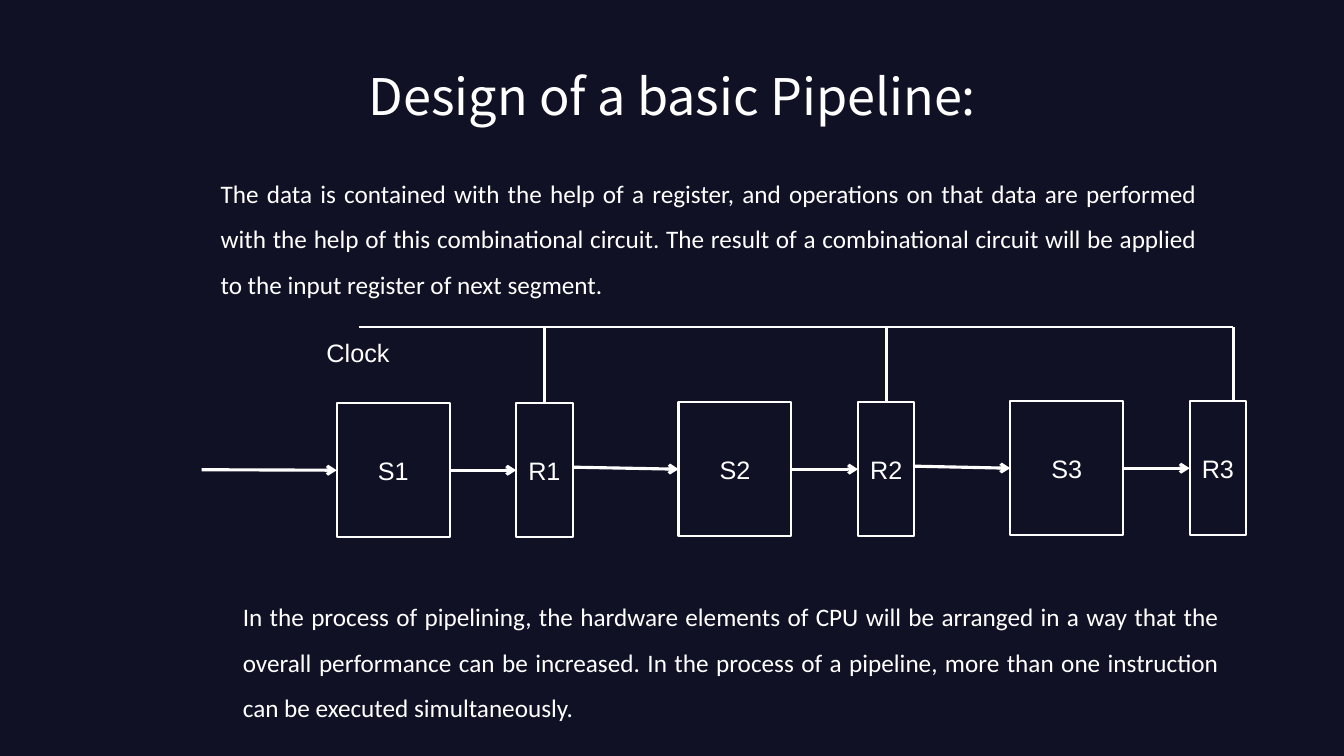
from lxml.etree import SubElement
from pptx import Presentation
from pptx.dml.color import RGBColor
from pptx.enum.shapes import MSO_CONNECTOR, MSO_SHAPE
from pptx.enum.text import MSO_ANCHOR, MSO_AUTO_SIZE, PP_ALIGN as Align
from pptx.oxml.ns import qn
from pptx.util import Inches, Pt

TOP, LEFT, BOTTOM, RIGHT = range(4)


def color(hex_string):
    return RGBColor.from_string(hex_string)


def write(frame, text, font="Arial", size=18, ink="FFFFFF", align=Align.LEFT,
          spacing=None, indent=0):
    paragraph = frame.paragraphs[0]
    paragraph.alignment = align
    if spacing:
        paragraph.line_spacing = spacing
    if indent:
        properties = paragraph._p.get_or_add_pPr()
        properties.set("marL", str(Inches(indent)))
        properties.set("indent", "0")
    run = paragraph.add_run()
    run.text = text
    run.font.name = font
    run.font.size = Pt(size)
    run.font.color.rgb = color(ink)


class PipelineSlide:
    ink = "FFFFFF"
    background = "101125"

    def __init__(self, deck):
        self.slide = deck.slides.add_slide(deck.slide_layouts[6])
        fill = self.slide.background.fill
        fill.solid()
        fill.fore_color.rgb = color(self.background)

    def text(self, text, left, top, width, height, wrap=True, **style):
        box = self.slide.shapes.add_textbox(
            Inches(left), Inches(top), Inches(width), Inches(height))
        box.text_frame.word_wrap = wrap
        box.text_frame.auto_size = MSO_AUTO_SIZE.SHAPE_TO_FIT_TEXT
        write(box.text_frame, text, ink=self.ink, **style)

    def block(self, label, left, top, width, height):
        block = self.slide.shapes.add_shape(
            MSO_SHAPE.RECTANGLE,
            Inches(left), Inches(top), Inches(width), Inches(height))
        block.shadow.inherit = False
        block.fill.background()
        block.line.color.rgb = color(self.ink)
        block.line.width = Pt(1.5)
        block.text_frame.word_wrap = True
        block.text_frame.vertical_anchor = MSO_ANCHOR.MIDDLE
        write(block.text_frame, label, ink=self.ink, align=Align.CENTER)
        return block

    def line(self, start, end, weight=2.25, arrow=False, source=None, target=None):
        """source and target are (block, side) pairs to join."""
        line = self.slide.shapes.add_connector(
            MSO_CONNECTOR.STRAIGHT, *map(Inches, start + end))
        line.line.color.rgb = color(self.ink)
        line.line.width = Pt(weight)
        if arrow:
            SubElement(line.line._get_or_add_ln(), qn("a:tailEnd"), type="arrow")
        SubElement(line._element.spPr, qn("a:effectLst"))
        if source:
            line.begin_connect(*source)
        if target:
            line.end_connect(*target)


def main():
    deck = Presentation()
    deck.slide_width, deck.slide_height = Inches(13.33), Inches(7.5)
    page = PipelineSlide(deck)

    # Title and introduction
    body = dict(font="Calibri", align=Align.JUSTIFY, spacing=1.5, indent=0.31)
    page.text("Design of a basic Pipeline:", 2.41, 0.6, 8.52, 0.71,
              font="Noto Sans CJK SC", size=36, align=Align.CENTER)
    page.text("The data is contained with the help of a register, and operations "
              "on that data are performed with the help of this combinational "
              "circuit. The result of a combinational circuit will be applied to "
              "the input register of next segment.", 1.78, 1.57, 10.19, 1.4, **body)

    # Clock line
    clock_y, clock_end = 3.24, 12.23
    page.line((3.56, clock_y), (clock_end, clock_y), weight=1.5)
    page.text("Clock", 3.14, 3.3, 0.83, 0.32, wrap=False)

    # Stages, each followed by its register
    stage_width, register_width, height = 1.12, 0.56, 1.33
    register_offset = 1.78
    flow_start, previous = (2, 4.66), None
    for number, (left, top) in enumerate([(3.34, 4), (6.73, 3.99), (10.02, 3.98)], 1):
        register_left = left + register_offset
        middle = top + height / 2
        stage = page.block(f"S{number}", left, top, stage_width, height)
        register = page.block(f"R{number}", register_left, top, register_width, height)

        page.line(flow_start, (left, middle), arrow=True, target=(stage, LEFT))
        page.line((left + stage_width, middle), (register_left, middle), arrow=True,
                  source=(stage, RIGHT), target=(register, LEFT))
        flow_start = (register_left + register_width, middle - 0.03)

        # Clock drop: the last one falls from the end of the clock line
        if number < 3:
            drop_x, joint = register_left + register_width / 2, (register, TOP)
        else:
            drop_x, joint = clock_end, None
        page.line((drop_x, clock_y), (drop_x, top), target=joint)

    # Closing text
    page.text("In the process of pipelining, the hardware elements of CPU will be "
              "arranged in a way that the overall performance can be increased. In "
              "the process of a pipeline, more than one instruction can be executed "
              "simultaneously.", 2, 5.77, 10.19, 1.4, **body)

    deck.save("out.pptx")


if __name__ == "__main__":
    main()
